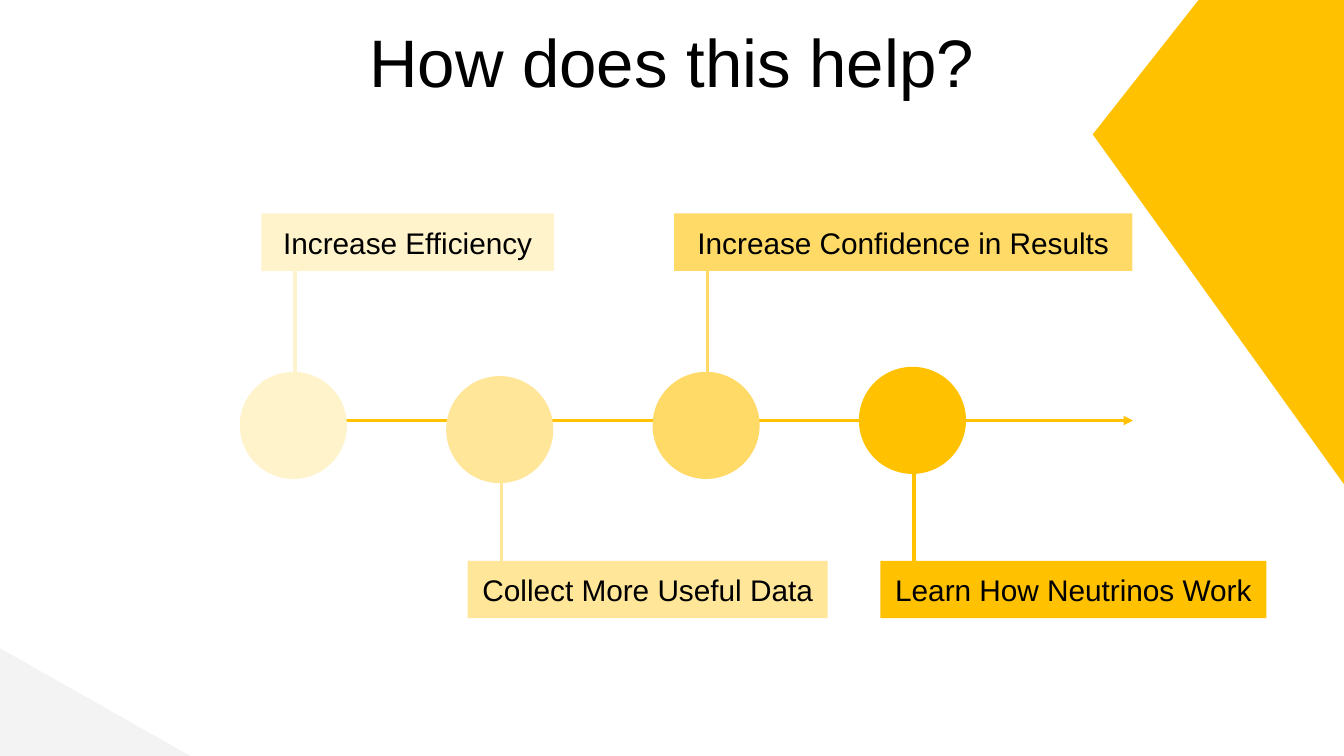
from dataclasses import dataclass

from lxml.etree import SubElement
from pptx import Presentation
from pptx.dml.color import RGBColor
from pptx.enum.shapes import MSO_CONNECTOR, MSO_SHAPE
from pptx.enum.text import MSO_ANCHOR, PP_ALIGN
from pptx.oxml.ns import qn
from pptx.shapes.autoshape import Shape
from pptx.shapes.connector import Connector
from pptx.slide import Slide
from pptx.util import Pt

COLORS = {
    "amber": "FFC100",
    "gold": "FFDA66",
    "light": "FFE699",
    "cream": "FFF3CC",
    "gray": "F3F3F3",
    "black": "000000",
}

FIRST_CIRCLE_LEFT = 171.3
STAGE_PITCH = 147.4
CIRCLE_SIZE = 76.5
AXIS_Y = 300.4
AXIS_LEFT, AXIS_RIGHT = 193, 809.3
LABEL_OFFSET = 15.4
LABEL_HEIGHT = 41
STEM_OFFSET = 39.4
UPPER_LABEL_TOP = 152.5
LOWER_LABEL_TOP = 400.6


@dataclass(frozen=True)
class Stage:
    text: str
    color: str
    label_width: float
    circle_top: float
    above: bool


STAGES = [
    Stage("Increase Efficiency", "cream", 209, 265.6, True),
    Stage("Collect More Useful Data", "light", 257.2, 268.6, False),
    Stage("Increase Confidence in Results", "gold", 327.4, 265.6, True),
    Stage("Learn How Neutrinos Work", "amber", 275.6, 262, False),
]


def add_filled_shape(slide: Slide, kind: MSO_SHAPE, left: float, top: float,
                     width: float, height: float, color: str) -> Shape:
    shape = slide.shapes.add_shape(kind, Pt(left), Pt(top), Pt(width), Pt(height))
    shape.shadow.inherit = False
    shape.fill.solid()
    shape.fill.fore_color.rgb = RGBColor.from_string(COLORS[color])
    shape.line.fill.background()
    return shape


def add_line(slide: Slide, start: tuple[float, float], end: tuple[float, float],
             color: str, arrow: bool = False) -> Connector:
    connector = slide.shapes.add_connector(
        MSO_CONNECTOR.STRAIGHT, *(Pt(value) for value in (*start, *end)))
    connector.line.color.rgb = RGBColor.from_string(COLORS[color])
    connector.line.width = Pt(2.25)
    properties = connector.element.spPr
    if arrow:
        SubElement(properties.find(qn("a:ln")), qn("a:tailEnd"), type="triangle")
    SubElement(properties, qn("a:effectLst"))
    return connector


def write_text(shape: Shape, text: str, *, size: float, margin: float,
               margin_top: float, anchor: MSO_ANCHOR) -> None:
    frame = shape.text_frame
    frame.word_wrap = True
    frame.vertical_anchor = anchor
    frame.margin_left = frame.margin_right = frame.margin_bottom = Pt(margin)
    frame.margin_top = Pt(margin_top)
    paragraph = frame.paragraphs[0]
    paragraph.text = text
    paragraph.alignment = PP_ALIGN.CENTER
    paragraph.font.name = "Arial"
    paragraph.font.size = Pt(size)
    paragraph.font.color.rgb = RGBColor.from_string(COLORS["black"])


def add_background(slide: Slide) -> None:
    add_filled_shape(slide, MSO_SHAPE.RIGHT_TRIANGLE, 0, 463, 136.8, 77.4, "gray")
    wedge = add_filled_shape(slide, MSO_SHAPE.ISOSCELES_TRIANGLE,
                             631.5, 17.3, 477.4, 179.3, "amber")
    wedge.adjustments[0] = 0.523
    wedge.rotation = 270


def add_title(slide: Slide, text: str) -> None:
    title = slide.shapes.add_textbox(Pt(54.7), Pt(2.2), Pt(850.3), Pt(60.5))
    write_text(title, text, size=48, margin=7.2, margin_top=12, anchor=MSO_ANCHOR.TOP)


def add_stage(slide: Slide, stage: Stage, circle_left: float) -> None:
    """Draw the stem first so that the label and circle cover its ends."""
    label_top = UPPER_LABEL_TOP if stage.above else LOWER_LABEL_TOP
    stem_x = circle_left + STEM_OFFSET
    stem_start = stage.circle_top + CIRCLE_SIZE / 2
    add_line(slide, (stem_x, stem_start), (stem_x, label_top + LABEL_HEIGHT / 2), stage.color)
    label = add_filled_shape(slide, MSO_SHAPE.RECTANGLE, circle_left + LABEL_OFFSET,
                             label_top, stage.label_width, LABEL_HEIGHT, stage.color)
    write_text(label, stage.text, size=21.3, margin=9.6, margin_top=9.6,
               anchor=MSO_ANCHOR.MIDDLE)
    add_filled_shape(slide, MSO_SHAPE.OVAL, circle_left, stage.circle_top,
                     CIRCLE_SIZE, CIRCLE_SIZE, stage.color)


def main() -> None:
    presentation = Presentation()
    presentation.slide_width, presentation.slide_height = Pt(960), Pt(540)
    slide = presentation.slides.add_slide(presentation.slide_layouts[6])
    add_background(slide)
    add_title(slide, "How does this help?")
    add_line(slide, (AXIS_LEFT, AXIS_Y), (AXIS_RIGHT, AXIS_Y), "amber", arrow=True)
    for index, stage in enumerate(STAGES):
        add_stage(slide, stage, FIRST_CIRCLE_LEFT + index * STAGE_PITCH)
    presentation.save("out.pptx")


if __name__ == "__main__":
    main()
